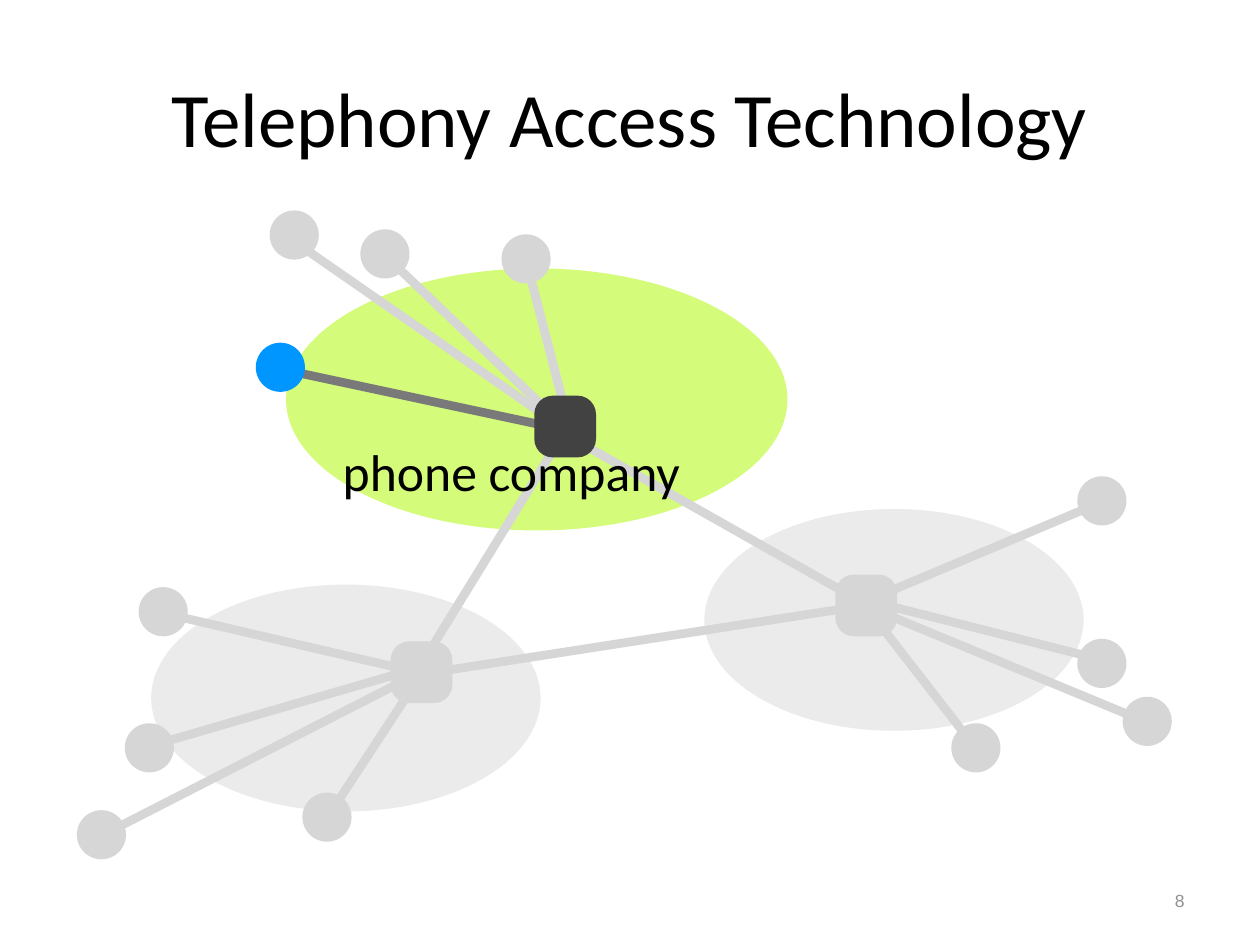
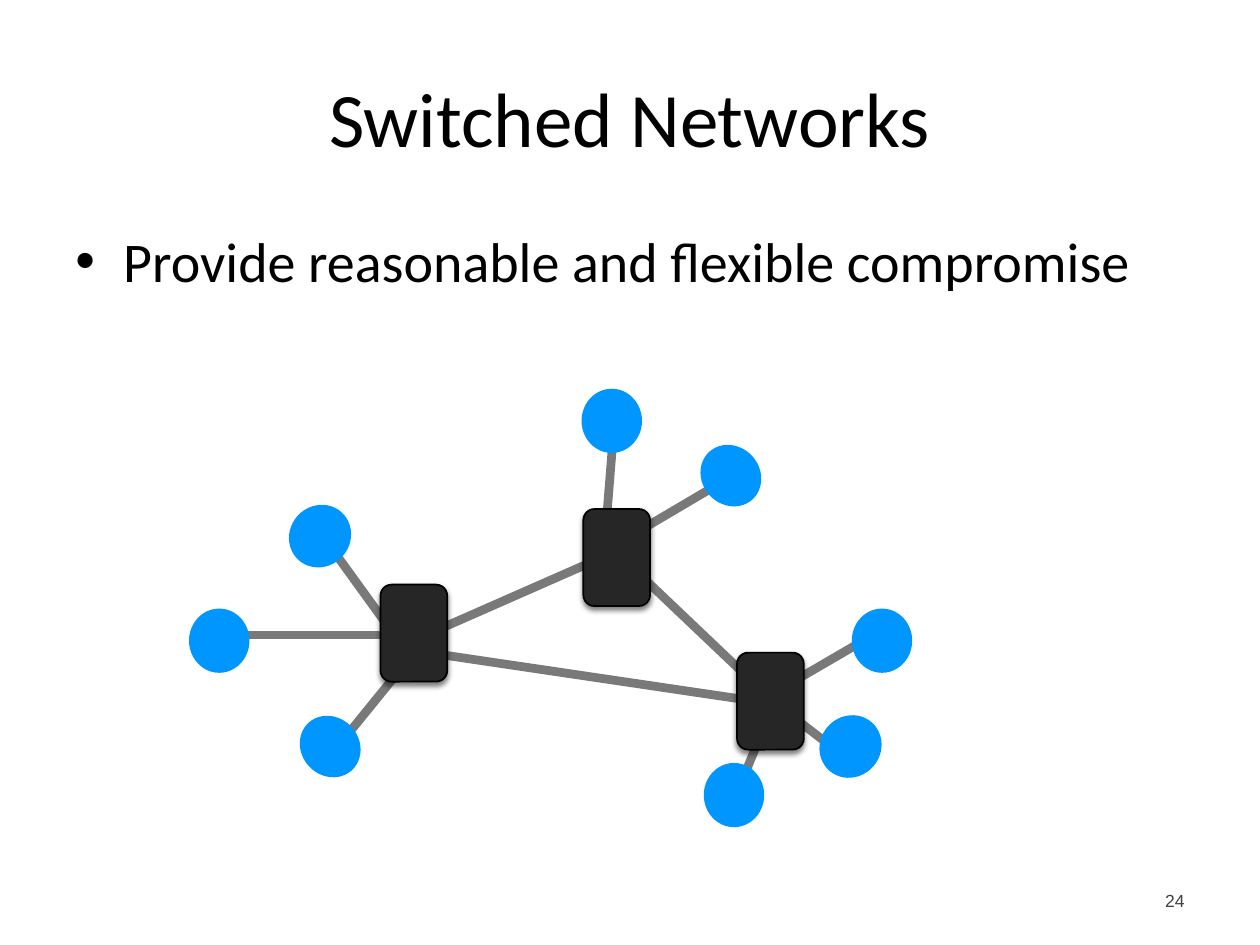
from lxml import etree
from pptx import Presentation
from pptx.dml.color import RGBColor
from pptx.enum.shapes import MSO_CONNECTOR, MSO_SHAPE
from pptx.enum.text import MSO_ANCHOR, PP_ALIGN
from pptx.oxml.ns import qn
from pptx.util import Pt

PX = 9144  # EMU per px, 100 px to the inch
OVAL, ROUNDED = MSO_SHAPE.OVAL, MSO_SHAPE.ROUNDED_RECTANGLE
STRAIGHT = MSO_CONNECTOR.STRAIGHT
LEFT, CENTER, RIGHT = PP_ALIGN.LEFT, PP_ALIGN.CENTER, PP_ALIGN.RIGHT
TOP, MIDDLE = MSO_ANCHOR.TOP, MSO_ANCHOR.MIDDLE

COLORS = {
    "black": "000000", "host": "0096FF", "wire": "797979",
    "idle": "D6D6D6", "cloud": "EBEBEB", "company": "D4FB79",
    "hub": "424242", "switch": "262626", "faint": "919191",
}


def color(name):
    return RGBColor.from_string(COLORS[name])


def px(*lengths):
    return [n * PX for n in lengths]


def write(tf, text, size=18, font="Calibri", fill="black", align=LEFT,
          anchor=MIDDLE, inset=(10, 5), bullet=False):
    tf.word_wrap = True
    tf.vertical_anchor = anchor
    tf.margin_left = tf.margin_right = inset[0] * PX
    tf.margin_top = tf.margin_bottom = inset[1] * PX
    p = tf.paragraphs[0]
    p.alignment = align
    r = p.add_run()
    r.text = text
    r.font.size, r.font.name = Pt(size), font
    r.font.color.rgb = color(fill)
    if bullet:
        p.space_before = Pt(size * 0.2)
        pPr = p._p.get_or_add_pPr()
        pPr.set("marL", str(38 * PX))
        pPr.set("indent", str(-38 * PX))
        etree.SubElement(pPr, qn("a:buFont")).set("typeface", "Arial")
        etree.SubElement(pPr, qn("a:buChar")).set("char", "•")


class Deck:
    def __init__(self):
        self.prs = Presentation()
        self.prs.slide_width, self.prs.slide_height = px(1000, 750)

    def slide(self, title, number, number_fill):
        s = self.prs.slides.add_slide(self.prs.slide_layouts[5])
        self.shapes = s.shapes
        sp = s.shapes.title
        sp.left, sp.top, sp.width, sp.height = px(50, 30, 900, 125)
        write(sp.text_frame, title, size=44, align=CENTER)
        self.text((717, 695, 233, 40), number, size=10, font="Arial",
                  fill=number_fill, align=RIGHT)

    def group(self):
        self.shapes = self.shapes.add_group_shape().shapes

    def text(self, box, text, **style):
        write(self.shapes.add_textbox(*px(*box)).text_frame, text, **style)

    def shape(self, kind, box, fill, rotation=0):
        sp = self.shapes.add_shape(kind, *px(*box))
        sp.shadow.inherit = False
        sp.fill.solid()
        sp.fill.fore_color.rgb = color(fill)
        sp.line.fill.background()
        sp.rotation = rotation
        return sp

    def link(self, start, end, fill):
        c = self.shapes.add_connector(STRAIGHT, *px(*start, *end))
        c.line.color.rgb = color(fill)
        c.line.width = Pt(5)
        etree.SubElement(c._element.spPr, qn("a:effectLst"))

    def hub(self, left, top, fill):
        self.shape(ROUNDED, (left, top, 49, 49), fill).adjustments[0] = 0.3

    def switch(self, left, top):
        sp = self.shape(ROUNDED, (left, top, 53, 77), "switch")
        sp.line.color.rgb = color("black")
        sp.line.width = Pt(1)
        effects = sp._element.spPr.find(qn("a:effectLst"))
        shadow = etree.SubElement(
            effects, qn("a:outerShdw"), blurRad=str(Pt(3)), dist=str(Pt(2)),
            dir="5400000", rotWithShape="0")
        rgb = etree.SubElement(shadow, qn("a:srgbClr"), val=COLORS["black"])
        etree.SubElement(rgb, qn("a:alpha"), val="50000")


def telephony(deck):
    deck.slide("Telephony Access Technology", "8", "faint")

    # Network clouds
    for box, fill in [((227, 213, 398, 208), "company"),
                      ((559, 404, 301, 176), "cloud"),
                      ((120, 464, 309, 180), "cloud")]:
        deck.shape(OVAL, box, fill)

    # Access lines, with the active one darker, then trunks between hubs
    deck.link((223, 293), (443, 340), "wire")
    for start, end in [
        ((419, 212), (453, 343)), ((234, 192), (440, 335)),
        ((306, 203), (443, 334)),
        ((912, 574), (685, 480)), ((873, 399), (683, 479)),
        ((690, 485), (773, 592)), ((872, 523), (690, 477)),
        ((327, 537), (77, 665)), ((127, 486), (329, 533)),
        ((333, 537), (263, 644)), ((116, 593), (329, 531)),
        ((442, 341), (688, 480)), ((449, 341), (334, 528)),
        ((690, 480), (335, 535)),
    ]:
        deck.link(start, end, "idle")

    # Subscribers
    deck.shape(OVAL, (203, 272, 39, 39), "host")
    for left, top in [(214, 167), (286, 182), (398, 186),
                      (110, 466), (99, 574), (61, 643), (240, 629),
                      (855, 378), (855, 507), (891, 553), (755, 574)]:
        deck.shape(OVAL, (left, top, 39, 39), "idle")

    # Hubs and label
    deck.hub(424, 314, "hub")
    deck.hub(310, 509, "idle")
    deck.hub(663, 456, "idle")
    deck.text((268, 345, 319, 57), "phone company", size=29.5, inset=(4, 4))


def switched(deck):
    deck.slide("Switched Networks", "24", "hub")
    deck.text((50, 175, 900, 495), "Provide reasonable and flexible compromise",
              size=32, anchor=TOP, bullet=True)
    deck.group()

    # Trunks between switches, then lines to hosts
    for start, end in [
        ((338, 504), (479, 442)), ((353, 520), (603, 557)),
        ((493, 442), (614, 557)),
        ((313, 504), (258, 428)), ((313, 504), (173, 504)),
        ((327, 520), (258, 605)), ((488, 330), (479, 442)),
        ((609, 571), (585, 629)), ((614, 557), (676, 605)),
        ((614, 550), (693, 504)), ((496, 428), (574, 382)),
    ]:
        deck.link(start, end, "wire")

    # Hosts
    for box, rotation in [
        ((557, 352, 46, 51), 138.2), ((239, 567, 46, 51), 138.2),
        ((150, 483, 48, 51), 0), ((676, 483, 48, 51), 0),
        ((460, 310, 51, 48), 90), ((557, 607, 51, 48), 90),
        ((230, 400, 48, 51), 41.7), ((651, 567, 48, 51), 41.7),
    ]:
        deck.shape(OVAL, box, "host", rotation)

    # Switches
    for left, top in [(302, 464), (463, 404), (585, 518)]:
        deck.switch(left, top)


def main():
    deck = Deck()
    telephony(deck)
    switched(deck)
    deck.prs.save("out.pptx")


if __name__ == "__main__":
    main()
